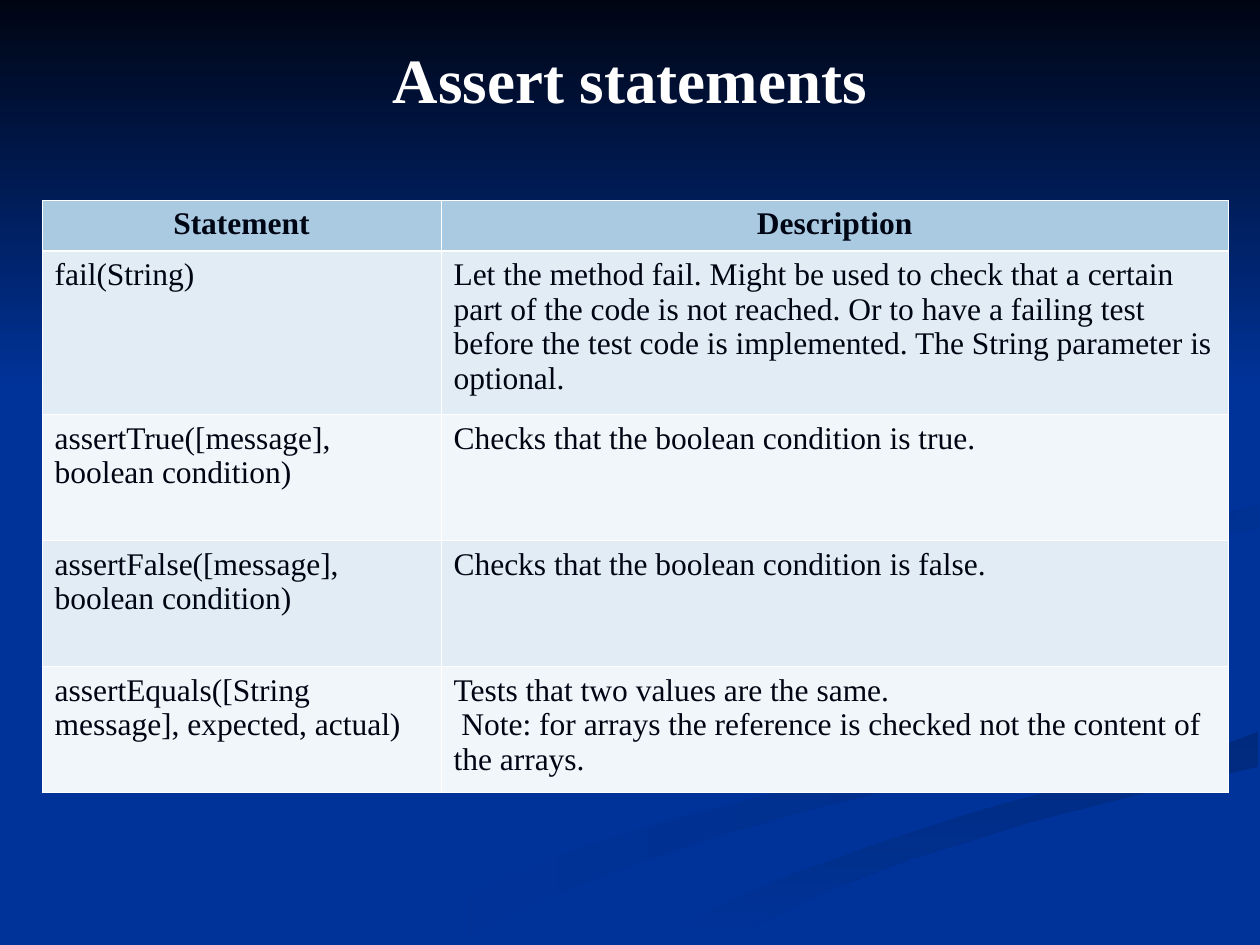
from dataclasses import dataclass

from pptx import Presentation
from pptx.dml.color import RGBColor
from pptx.enum.shapes import MSO_SHAPE
from pptx.enum.text import MSO_ANCHOR, PP_ALIGN
from pptx.oxml.ns import qn
from pptx.util import Pt
from lxml.etree import SubElement


@dataclass(frozen=True)
class Theme:
    font: str = "Times New Roman"
    title: int = 36
    body: int = 18
    white: str = "FFFFFF"
    ink: str = "000514"
    blue: str = "003399"
    head: str = "AACAE2"
    bands: tuple = ("E2ECF4", "F1F6FA")
    shades: tuple = ("002E8B", "002A7D", "002D86", "002B82")
    thin: float = 0.45
    thick: float = 1.47


THEME = Theme()

RIM = [(374, 538), (410, 518), (454, 499), (501, 482), (550, 466),
       (574, 459), (650, 439), (693, 428), (719, 418)]
SWIRL = [(562, 398), (536, 387), (491, 374), (451, 361), (428, 349),
         (415, 338), (414, 330), (410, 338), (415, 346), (433, 356),
         (471, 369), (514, 382), (549, 394), (564, 402), (566, 408),
         (562, 417), (539, 428), (503, 438), (444, 453), (388, 467),
         (330, 485), (271, 509), (216, 539), (260, 539), (310, 514),
         (359, 495), (406, 479), (469, 461), (519, 449), (554, 438),
         (570, 430), (576, 418), (572, 408)]
FOLD = [(679, 410), (670, 398), (652, 389), (612, 377), (570, 366),
        (536, 353), (523, 341), (521, 334), (523, 345), (537, 360),
        (562, 373), (603, 386), (634, 395), (653, 405), (661, 418),
        (653, 430), (644, 436), (666, 427), (678, 418)]
TAIL = [(362, 539), (411, 539), (432, 528), (467, 511), (520, 491),
        (591, 469), (650, 454), (719, 438)] + RIM[::-1]
BAND = [(522, 334), (528, 348), (558, 362), (598, 374), (640, 385),
        (670, 398), (679, 410), (674, 423), (649, 434), (607, 445),
        (535, 463), (477, 481), (413, 506), (343, 539)] + RIM + [
        (719, 387), (678, 379), (624, 366), (588, 354), (566, 341),
        (562, 333), (570, 322), (601, 310), (647, 301), (697, 294),
        (719, 289), (719, 279), (678, 287), (613, 296), (567, 304),
        (534, 316), (523, 327)]
HOOK = [(562, 331), (566, 341), (580, 351), (595, 357), (582, 348),
        (580, 340), (588, 330), (607, 323), (645, 313), (687, 307),
        (719, 302), (719, 289), (697, 294), (647, 301), (601, 310),
        (570, 322)]
CURL = [(492, 310), (550, 300), (594, 289), (624, 276), (640, 261),
        (644, 248), (638, 228), (622, 210), (591, 188), (549, 168),
        (580, 183), (609, 201), (631, 220), (640, 241), (635, 255),
        (613, 269), (570, 282), (507, 294), (450, 307), (420, 321),
        (415, 333), (425, 348), (448, 360), (430, 346), (428, 335),
        (442, 323), (467, 314)]

ROWS = [
    ("Statement", "Description"),
    ("fail(String)",
     "Let the method fail. Might be used to check that a certain part of "
     "the code is not reached. Or to have a failing test before the test "
     "code is implemented. The String parameter is optional."),
    ("assertTrue([message],\nboolean condition)",
     "Checks that the boolean condition is true."),
    ("assertFalse([message],\nboolean condition)",
     "Checks that the boolean condition is false."),
    ("assertEquals([String message], expected, actual)",
     "Tests that two values are the same.\n Note: for arrays the reference "
     "is checked not the content of the arrays."),
]
WIDTHS = (228, 450)
HEIGHTS = (28.8, 93.6, 72, 72, 72)


def rgb(code):
    return RGBColor.from_string(code)


def paint(shape, first, last, angle):
    shape.shadow.inherit = False
    shape.line.fill.background()
    if first == last:
        shape.fill.solid()
        shape.fill.fore_color.rgb = rgb(first)
        return
    shape.fill.gradient()
    shape.fill.gradient_angle = -angle % 360
    for stop, code in zip(shape.fill.gradient_stops, (first, last)):
        stop.color.rgb = rgb(code)


def add_curve(slide, points, first, last, angle):
    pen = slide.shapes.build_freeform(*points[0], scale=Pt(1))
    pen.add_line_segments(points[1:], close=True)
    paint(pen.convert_to_shape(), first, last, angle)


def add_glow(slide):
    box = slide.shapes.add_shape(MSO_SHAPE.RECTANGLE, 0, 0, Pt(720), Pt(222))
    paint(box, THEME.ink, THEME.blue, 90)


def style(frame, size, color, bold, align):
    for para in frame.paragraphs:
        para.alignment = align
        for run in para.runs:
            run.font.name = THEME.font
            run.font.size = Pt(size)
            run.font.bold = bold
            run.font.color.rgb = rgb(color)


def add_title(slide, text):
    frame = slide.shapes.add_textbox(0, 0, Pt(720), Pt(90)).text_frame
    frame.word_wrap = True
    frame.vertical_anchor = MSO_ANCHOR.MIDDLE
    frame.text = text
    style(frame, THEME.title, THEME.white, True, PP_ALIGN.CENTER)


def add_edge(cell, side, width):
    line = SubElement(cell._tc.get_or_add_tcPr(), qn(f"a:ln{side}"),
                      w=str(Pt(width)))
    fill = SubElement(line, qn("a:solidFill"))
    SubElement(fill, qn("a:srgbClr"), val=THEME.white)


def fill_cell(cell, text, row):
    head = row == 0
    cell.text_frame.text = text
    style(cell.text_frame, THEME.body, THEME.ink, head,
          PP_ALIGN.CENTER if head else PP_ALIGN.LEFT)
    for side in "LRTB":
        thick = (row, side) in ((0, "B"), (1, "T"))
        add_edge(cell, side, THEME.thick if thick else THEME.thin)
    cell.fill.solid()
    cell.fill.fore_color.rgb = rgb(
        THEME.head if head else THEME.bands[(row - 1) % 2])


def add_grid(slide):
    grid = slide.shapes.add_table(
        len(ROWS), len(WIDTHS), Pt(24), Pt(114.5),
        Pt(sum(WIDTHS)), Pt(sum(HEIGHTS))).table
    for col, width in zip(grid.columns, WIDTHS):
        col.width = Pt(width)
    for row, texts in enumerate(ROWS):
        grid.rows[row].height = Pt(HEIGHTS[row])
        for col, text in enumerate(texts):
            fill_cell(grid.cell(row, col), text, row)


def main():
    deck = Presentation()
    deck.slide_width, deck.slide_height = Pt(720), Pt(540)
    slide = deck.slides.add_slide(deck.slide_layouts[6])
    slide.background.fill.solid()
    slide.background.fill.fore_color.rgb = rgb(THEME.blue)

    blue = THEME.blue
    soft, deep, mid, dark = THEME.shades
    for curve in (
        (SWIRL, blue, soft, 0),
        (FOLD, blue, soft, 45),
        (TAIL, deep, blue, 90),
        (BAND, blue, blue, 0),
        (HOOK, mid, blue, 45),
        (CURL, dark, blue, 45),
    ):
        add_curve(slide, *curve)
    add_glow(slide)
    add_title(slide, "Assert statements")
    add_grid(slide)
    deck.save("out.pptx")


if __name__ == "__main__":
    main()
